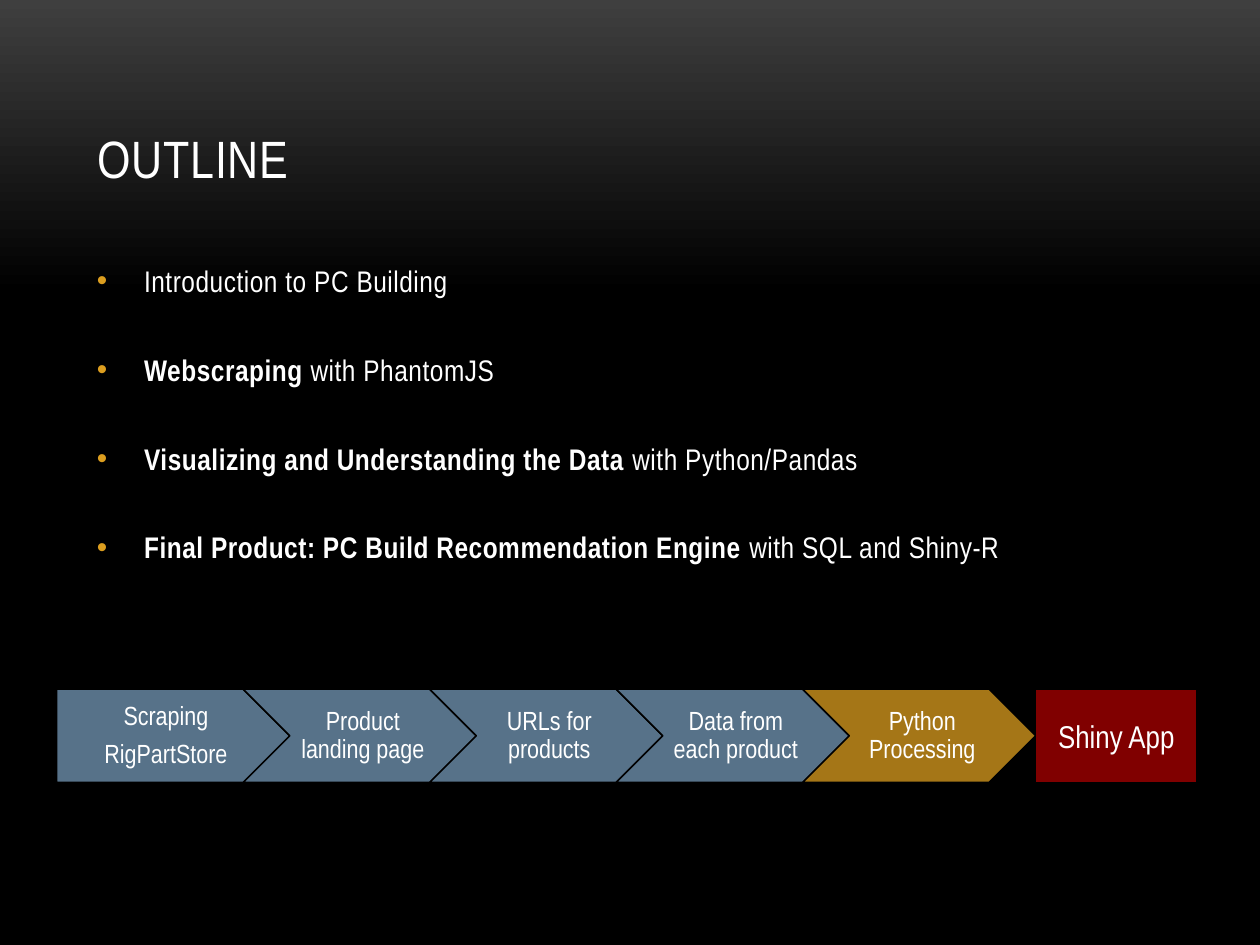
from dataclasses import dataclass

from lxml.etree import SubElement
from pptx import Presentation
from pptx.dml.color import RGBColor
from pptx.enum.shapes import MSO_SHAPE
from pptx.enum.text import MSO_ANCHOR, PP_ALIGN
from pptx.oxml.ns import qn
from pptx.util import Pt

FONT = "Arial Narrow"
WHITE = "FFFFFF"
BLACK = "000000"
SLATE = "577289"
GOLD = "A57617"
MAROON = "800000"
BULLET_GOLD = "DC9E1F"

MARGIN, CONTENT_WIDTH = 48.24, 624.24
FLOW_LEFT, FLOW_TOP = 32.4, 393.84
STEP_WIDTH, STEP_HEIGHT = 133.2, 53.28
STEP_PITCH = STEP_WIDTH - STEP_HEIGHT / 2
APP_WIDTH = 92.16


@dataclass
class Step:
    lines: list[str]
    fill: str = SLATE
    outline: MSO_SHAPE = MSO_SHAPE.CHEVRON
    left_inset: float = 5.04


@dataclass
class Topic:
    runs: list[tuple[str, bool]]


STEPS = [
    Step(["Scraping", "RigPartStore"], outline=MSO_SHAPE.PENTAGON, left_inset=6.48),
    Step(["Product landing page"]),
    Step(["URLs for products"]),
    Step(["Data from each product"]),
    Step(["Python Processing"], fill=GOLD),
]

TOPICS = [
    Topic([("Introduction to PC Building", False)]),
    Topic([("Webscraping", True), (" with PhantomJS", False)]),
    Topic([("Visualizing and Understanding the Data ", True), ("with Python/Pandas", False)]),
    Topic([("Final Product: PC Build Recommendation Engine", True), (" with SQL and Shiny-R", False)]),
]


def color(hex_value: str) -> RGBColor:
    return RGBColor.from_string(hex_value)


def add_text(paragraph, text: str, *, size: float, bold: bool = False,
             tracking: float = 0, align=None, line_spacing=None,
             before: float = 0, after: float = 0) -> None:
    paragraph.alignment = align
    paragraph.line_spacing = line_spacing
    paragraph.space_before = Pt(before)
    paragraph.space_after = Pt(after)
    run = paragraph.add_run()
    run.text = text
    run.font.name = FONT
    run.font.size = Pt(size)
    run.font.bold = bold
    run.font.color.rgb = color(WHITE)
    if tracking:
        run.font._element.set("spc", str(round(tracking * 100)))


def add_bullet(paragraph, indent: float) -> None:
    properties = paragraph._p.get_or_add_pPr()
    properties.set("marL", str(Pt(indent)))
    properties.set("indent", str(-Pt(indent)))
    bullet_color = SubElement(properties, qn("a:buClr"))
    SubElement(bullet_color, qn("a:srgbClr"), val=BULLET_GOLD)
    SubElement(properties, qn("a:buFont"), typeface="Arial")
    SubElement(properties, qn("a:buChar"), char="•")


def next_paragraph(frame, index: int):
    return frame.add_paragraph() if index else frame.paragraphs[0]


def paint_background(slide) -> None:
    fill = slide.background.fill
    fill.gradient()
    fill.gradient_angle = 270
    for stop, position, shade in zip(fill.gradient_stops, (0, 0.31), ("3F3F3F", BLACK)):
        stop.position = position
        stop.color.rgb = color(shade)


def add_heading(slide, text: str) -> None:
    heading = slide.shapes.title
    heading.left, heading.top = Pt(MARGIN), Pt(21.6)
    heading.width, heading.height = Pt(CONTENT_WIDTH), Pt(90)
    heading.text_frame.vertical_anchor = MSO_ANCHOR.BOTTOM
    add_text(heading.text_frame.paragraphs[0], text, size=30, tracking=0.5, align=PP_ALIGN.LEFT)


def add_topics(slide, topics: list[Topic]) -> None:
    box = slide.shapes.add_textbox(Pt(MARGIN), Pt(126), Pt(CONTENT_WIDTH), Pt(326.16))
    frame = box.text_frame
    frame.word_wrap = True
    for index, topic in enumerate(topics):
        paragraph = next_paragraph(frame, index)
        for text, bold in topic.runs:
            add_text(paragraph, text, size=17, bold=bold, tracking=0.3,
                     line_spacing=2.0, before=4, after=6)
        add_bullet(paragraph, 27)


def add_block(slide, outline: MSO_SHAPE, left: float, width: float, fill: str, line: float):
    block = slide.shapes.add_shape(outline, Pt(left), Pt(FLOW_TOP), Pt(width), Pt(STEP_HEIGHT))
    block.shadow.inherit = False
    block.fill.solid()
    block.fill.fore_color.rgb = color(fill)
    block.line.color.rgb = color(BLACK)
    block.line.width = Pt(line)
    block.text_frame.word_wrap = True
    block.text_frame.vertical_anchor = MSO_ANCHOR.MIDDLE
    return block.text_frame


def add_step(slide, step: Step, left: float) -> None:
    frame = add_block(slide, step.outline, left, STEP_WIDTH, step.fill, 0.85)
    frame.margin_left, frame.margin_right = Pt(step.left_inset), Pt(1.44)
    frame.margin_top = frame.margin_bottom = Pt(2.88)
    for index, line in enumerate(step.lines):
        add_text(next_paragraph(frame, index), line, size=15,
                 align=PP_ALIGN.CENTER, line_spacing=0.9, after=5.25)


def main() -> None:
    deck = Presentation()
    deck.slide_width, deck.slide_height = Pt(720), Pt(540)
    slide = deck.slides.add_slide(deck.slide_layouts.get_by_name("Title Only"))
    paint_background(slide)
    add_heading(slide, "OUTLINE")
    add_topics(slide, TOPICS)
    for index, step in enumerate(STEPS):
        add_step(slide, step, FLOW_LEFT + index * STEP_PITCH)
    app_left = FLOW_LEFT + (len(STEPS) - 1) * STEP_PITCH + STEP_WIDTH
    app = add_block(slide, MSO_SHAPE.RECTANGLE, app_left, APP_WIDTH, MAROON, 0.75)
    add_text(app.paragraphs[0], "Shiny App", size=18, align=PP_ALIGN.CENTER)
    deck.save("out.pptx")


if __name__ == "__main__":
    main()
